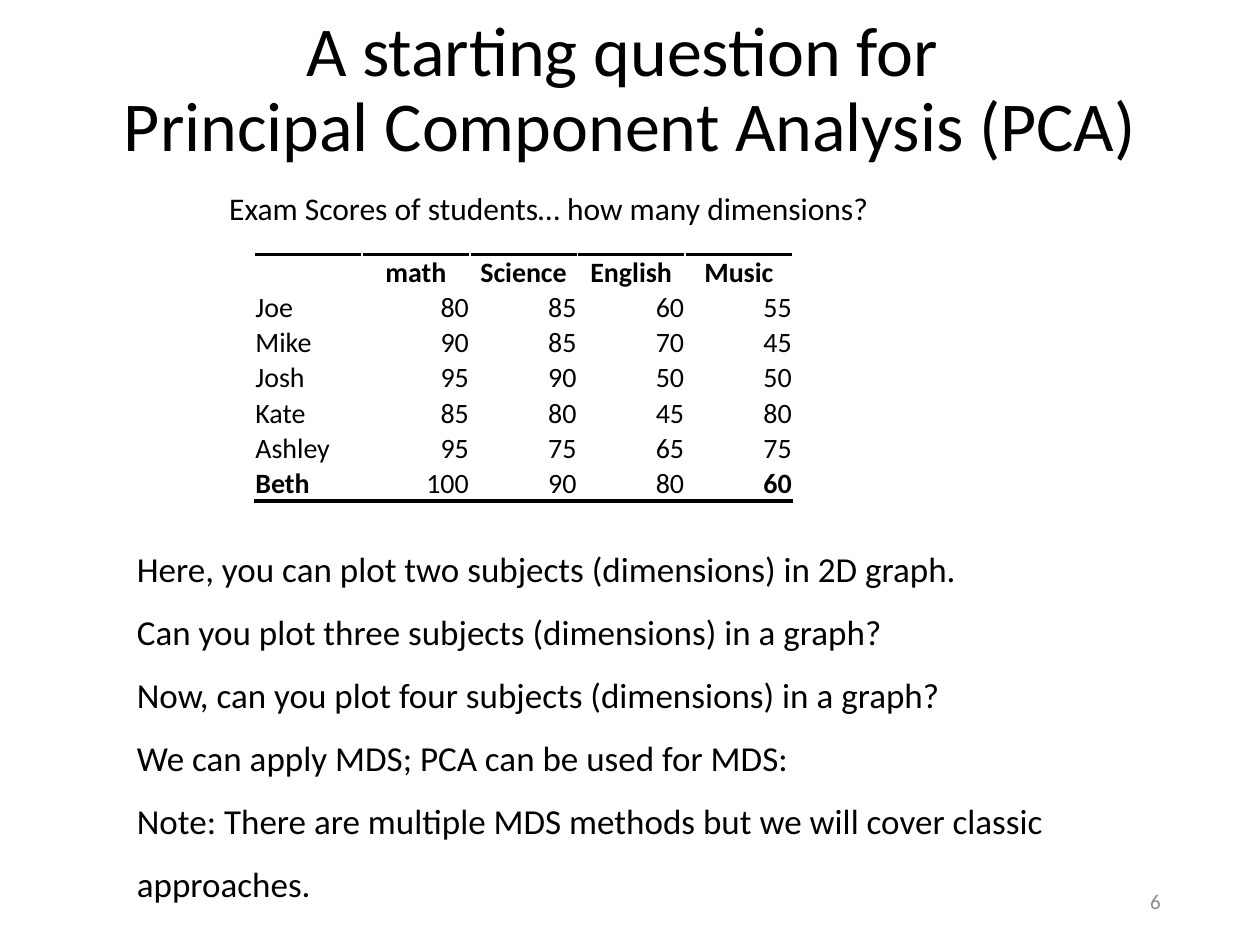
from lxml.etree import SubElement
from pptx import Presentation
from pptx.dml.color import RGBColor
from pptx.enum.text import MSO_ANCHOR as Anchor, PP_ALIGN as Align
from pptx.oxml import parse_xml
from pptx.oxml.ns import nsdecls, qn
from pptx.util import Cm, Pt

FONT = "Calibri"
COLORS = {"text": "000000", "number": "8C8C8C", "paper": "FFFFFF"}
SCORES = [
    ["", "math", "Science", "English", "Music"],
    ["Joe", "80", "85", "60", "55"],
    ["Mike", "90", "85", "70", "45"],
    ["Josh", "95", "90", "50", "50"],
    ["Kate", "85", "80", "45", "80"],
    ["Ashley", "95", "75", "65", "75"],
    ["Beth", "100", "90", "80", "60"],
]
BOLD_CELLS = {"Beth": (0, 4)}
QUESTIONS = [
    "Here, you can plot two subjects (dimensions) in 2D graph.",
    "Can you plot three subjects (dimensions) in a graph?",
    "Now, can you plot four subjects (dimensions) in a graph?",
    "We can apply MDS; PCA can be used for MDS:",
    "Note: There are multiple MDS methods but we will cover classic approaches.",
]


def style_runs(p, size, color="text", bold=False):
    for r in p.runs:
        r.font.name = FONT
        r.font.size = Pt(size)
        r.font.bold = bold
        r.font.color.rgb = RGBColor.from_string(COLORS[color])


def add_text(s, box, lines, size, color="text", align=Align.LEFT,
             anchor=Anchor.TOP, spacing=None):
    tf = s.shapes.add_textbox(*map(Cm, box)).text_frame
    tf.word_wrap = True
    tf.vertical_anchor = anchor
    for i, line in enumerate(lines):
        p = tf.add_paragraph() if i else tf.paragraphs[0]
        p.text = line
        p.alignment = align
        p.line_spacing = spacing
        style_runs(p, size, color)


def add_rule(cell, side):
    cell._tc.get_or_add_tcPr().insert(0, parse_xml(
        f'<a:{side} {nsdecls("a")} w="{Pt(2)}"><a:solidFill>'
        f'<a:srgbClr val="{COLORS["text"]}"/></a:solidFill></a:{side}>'))


def fill_cell(cell, text, align, bold):
    cell.margin_left = cell.margin_right = cell.margin_top = Cm(0.02)
    cell.margin_bottom = 0
    cell.vertical_anchor = Anchor.BOTTOM
    cell.fill.solid()
    cell.fill.fore_color.rgb = RGBColor.from_string(COLORS["paper"])
    p = cell.text_frame.paragraphs[0]
    p.text = text
    p.alignment = align
    style_runs(p, 16, bold=bold)
    if not text:
        SubElement(p._p, qn("a:endParaRPr"), sz="1600")


def add_scores(s, box):
    rows, cols = len(SCORES), len(SCORES[0])
    left, top, width, height = box
    table = s.shapes.add_table(rows, cols, *map(Cm, box)).table
    table.first_row = table.horz_banding = False
    for column in table.columns:
        column.width = Cm(width / cols)
    for i, values in enumerate(SCORES):
        table.rows[i].height = Cm(height / rows)
        for j, value in enumerate(values):
            cell = table.cell(i, j)
            align = Align.CENTER if i == 0 else Align.RIGHT if j else Align.LEFT
            bold = i == 0 or j in BOLD_CELLS.get(values[0], ())
            fill_cell(cell, value, align, bold)
            if i == 0:
                add_rule(cell, "lnT")
            elif i == rows - 1:
                add_rule(cell, "lnB")


def main():
    prs = Presentation()
    prs.slide_width, prs.slide_height = Cm(25.4), Cm(19.05)
    s = prs.slides.add_slide(prs.slide_layouts[6])
    add_text(s, (0, 0, 25.4, 3.68),
             ["A starting question for \vPrincipal Component Analysis (PCA)"],
             40, align=Align.CENTER, anchor=Anchor.MIDDLE, spacing=0.9)
    add_scores(s, (5.13, 5.13, 10.85, 4.97))
    add_text(s, (17.93, 17.65, 5.72, 1.02), ["6"], 12, "number",
             Align.RIGHT, Anchor.MIDDLE)
    add_text(s, (2.51, 10.49, 19.84, 7.95), QUESTIONS, 20, spacing=1.5)
    add_text(s, (4.37, 3.68, 15.42, 1.02),
             ["Exam Scores of students… how many dimensions?"], 18)
    prs.save("out.pptx")


if __name__ == "__main__":
    main()
